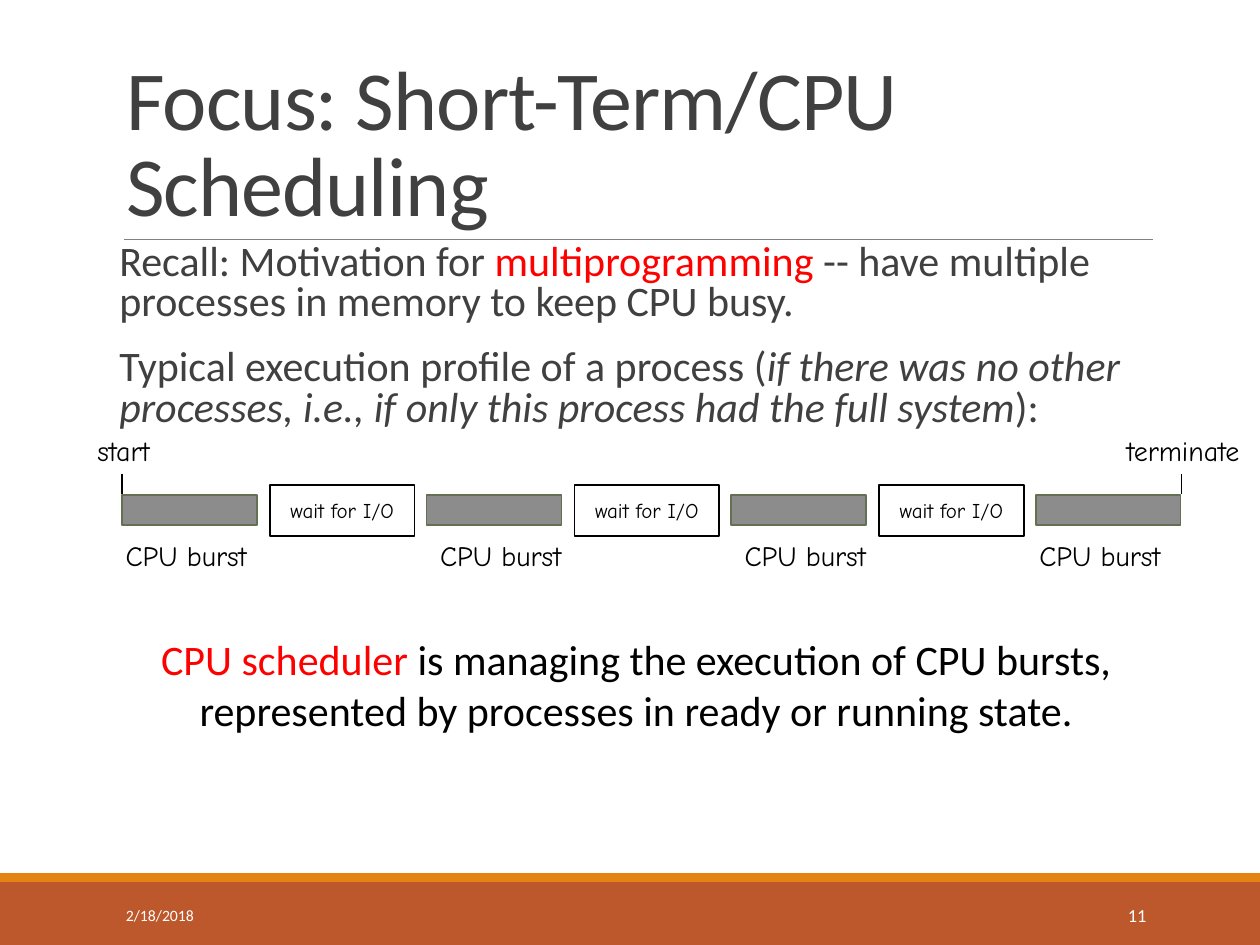
from dataclasses import dataclass

from lxml import etree
from pptx import Presentation
from pptx.dml.color import RGBColor
from pptx.enum import shapes, text
from pptx.oxml import ns
from pptx.util import Cm, Pt

HUES = {
    "rust": "BD582C", "amber": "E48312", "rule": "808080", "dark": "404040",
    "red": "FF0000", "black": "000000", "white": "FFFFFF",
    "gray": "8C8C8C", "moss": "637052",
}
SANS, HAND = "Calibri", "Comic Neue"
LEFT, MID, RIGHT = text.PP_ALIGN.LEFT, text.PP_ALIGN.CENTER, text.PP_ALIGN.RIGHT
PITCH = 6.14  # one CPU burst plus one wait


@dataclass
class Box:
    x: float
    y: float
    w: float
    h: float

    def size(self):
        return Cm(self.x), Cm(self.y), Cm(self.w), Cm(self.h)


@dataclass
class Burst:
    x: float
    w: float
    shift: float  # label offset from the bar


def hue(name: str) -> RGBColor:
    return RGBColor.from_string(HUES[name])


def write(para, words: str, *, size: float, color: str = "black",
          font: str = SANS, italic: bool = False):
    run = para.add_run()
    run.text = words
    run.font.size, run.font.name, run.font.italic = Pt(size), font, italic
    run.font.color.rgb = hue(color)
    return run


def rect(slide, box: Box, fill=None, line=None):
    shape = slide.shapes.add_shape(shapes.MSO_SHAPE.RECTANGLE, *box.size())
    shape.shadow.inherit = False
    if fill:
        shape.fill.solid()
        shape.fill.fore_color.rgb = hue(fill)
    else:
        shape.fill.background()
    if line:
        shape.line.color.rgb = hue(line)
        shape.line.width = Pt(1)
    else:
        shape.line.fill.background()
    return shape


def rule(slide, x1: float, y1: float, x2: float, y2: float, color: str, width: float):
    line = slide.shapes.add_connector(
        shapes.MSO_CONNECTOR.STRAIGHT, Cm(x1), Cm(y1), Cm(x2), Cm(y2))
    line.line.color.rgb = hue(color)
    line.line.width = Pt(width)
    etree.SubElement(line._element.spPr, ns.qn("a:effectLst"))


def label(slide, box: Box, words: str = "", *, wrap: bool = False, align=MID,
          anchor=text.MSO_ANCHOR.TOP, **form):
    """Add a text box and return its first paragraph."""
    frame = slide.shapes.add_textbox(*box.size()).text_frame
    frame.word_wrap = wrap
    frame.vertical_anchor = anchor
    para = frame.paragraphs[0]
    para.alignment = align
    if words:
        write(para, words, **form)
    return para


def place(holder, box: Box, anchor):
    holder.left, holder.top, holder.width, holder.height = box.size()
    frame = holder.text_frame
    frame.auto_size = text.MSO_AUTO_SIZE.NONE
    frame.vertical_anchor = anchor
    return frame


def blank_bullet(para):
    """Hang the paragraph on an invisible bullet."""
    props = para._p.get_or_add_pPr()
    props.set("marL", str(Cm(0.25)))
    props.set("indent", str(-Cm(0.25)))
    etree.SubElement(props, ns.qn("a:buChar")).set("char", " ")


def heads(slide):
    frame = place(slide.shapes.title, Box(2.29, 0.79, 20.96, 4.04),
                  text.MSO_ANCHOR.BOTTOM)
    para = frame.paragraphs[0]
    para.alignment, para.line_spacing = LEFT, 0.85
    run = write(para, "Focus: Short-Term/CPU Scheduling", size=48, color="dark")
    run.font._element.set("spc", "-50")

    frame = place(slide.placeholders[1], Box(1.9, 4.8, 21.34, 4.01),
                  text.MSO_ANCHOR.TOP)
    lines = [
        [("Recall: Motivation for ", {}),
         ("multiprogramming", {"color": "red"}),
         (" -- have multiple processes in memory to keep CPU busy.", {})],
        [("Typical execution profile of a process (", {}),
         ("if there was no other processes, i.e., if only this process "
          "had the full system", {"italic": True}),
         ("):", {})],
    ]
    for i, parts in enumerate(lines):
        para = frame.add_paragraph() if i else frame.paragraphs[0]
        para.line_spacing = 0.8
        para.space_before, para.space_after = Pt(12), Pt(2)
        blank_bullet(para)
        for words, form in parts:
            write(para, words, **{"size": 24, "color": "dark", **form})


def profile(slide):
    """Draw the timeline of CPU bursts and I/O waits."""
    first = 2.46
    bursts = [Burst(first, 2.72, -0.28), Burst(first + PITCH, 2.72, -0.08),
              Burst(first + 2 * PITCH, 2.72, -0.08),
              Burst(first + 3 * PITCH, 2.92, -0.28)]
    for i, burst in enumerate(bursts):
        rect(slide, Box(burst.x, 9.98, burst.w, 0.61), "gray", "moss")
        label(slide, Box(burst.x + burst.shift, 10.74, 3.15, 0.91),
              "CPU burst", size=16, font=HAND)
        if i < len(bursts) - 1:
            wait = rect(slide, Box(burst.x + 2.98, 9.78, 2.92, 1.02), line="black")
            frame = wait.text_frame
            frame.word_wrap = False
            frame.vertical_anchor = text.MSO_ANCHOR.MIDDLE
            frame.paragraphs[0].alignment = MID
            write(frame.paragraphs[0], "wait for I/O", size=12, font=HAND)
    for x in (first, 23.82):
        rule(slide, x, 9.55, x, 9.96, "black", 1)
    label(slide, Box(1.55, 8.61, 1.88, 0.91), "start", size=16, font=HAND)
    label(slide, Box(22.3, 8.61, 3.1, 0.91), "terminate", size=16, font=HAND)


def main():
    deck = Presentation()
    deck.slide_width, deck.slide_height = Cm(25.4), Cm(19.05)
    slide = deck.slides.add_slide(deck.slide_layouts[1])
    rect(slide, Box(0, 17.78, 25.4, 1.27), "rust")
    rect(slide, Box(0, 17.6, 25.4, 0.18), "amber")
    rule(slide, 2.49, 4.83, 23.24, 4.83, "rule", 0.5)
    heads(slide)
    foot = {"wrap": True, "anchor": text.MSO_ANCHOR.MIDDLE, "color": "white"}
    label(slide, Box(2.29, 17.94, 5.16, 1.02), "2/18/2018", align=LEFT, size=9, **foot)
    label(slide, Box(20.62, 17.94, 2.74, 1.02), "11", align=RIGHT, size=10.5, **foot)
    profile(slide)
    para = label(slide, Box(1.32, 12.65, 23.01, 2.79), wrap=True)
    write(para, "CPU scheduler", size=24, color="red")
    write(para, " is managing the execution of CPU bursts, represented by "
          "processes in ready or running state.", size=24)
    deck.save("out.pptx")


if __name__ == "__main__":
    main()
